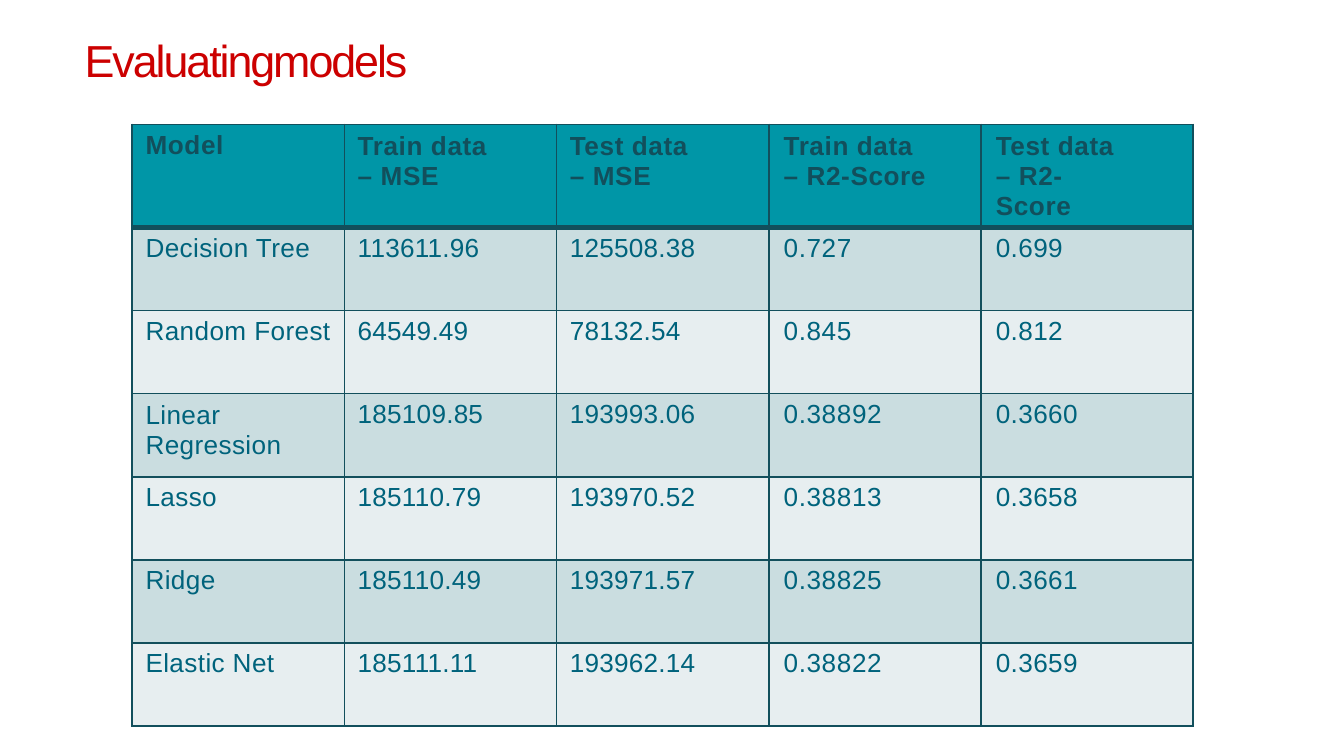
"""Build a slide with a table that compares the errors and scores of six models."""
import pptx
import pptx.dml.color
import pptx.enum.text
import pptx.oxml
import pptx.oxml.ns
import pptx.util

Cm = pptx.util.Cm
Pt = pptx.util.Pt
COLORS = {
    "title": "CC0000",
    "header": "0096A7",
    "odd": "CADDE0",
    "even": "E7EEF0",
    "line": "124F5C",
    "body": "00637C",
}
ROWS = [
    ["Model", "Train data – MSE", "Test data – MSE", "Train data – R2-Score", "Test data – R2-Score"],
    ["Decision Tree", "113611.96", "125508.38", "0.727", "0.699"],
    ["Random Forest", "64549.49", "78132.54", "0.845", "0.812"],
    ["Linear Regression", "185109.85", "193993.06", "0.38892", "0.3660"],
    ["Lasso", "185110.79", "193970.52", "0.38813", "0.3658"],
    ["Ridge", "185110.49", "193971.57", "0.38825", "0.3661"],
    ["Elastic Net", "185111.11", "193962.14", "0.38822", "0.3659"],
]
LEFT_MARGINS = [0.25, 0.25, 0.25, 0.28, 0.28]
HEADER_RIGHT_MARGINS = [0, 1.06, 1.27, 0.94, 1.27]
BODY_SPACING = [0.2, 0.1, 0.1, 0.3, 0.2]


def write_text(frame, text, color, spacing, font, paragraph):
    """Fill a text frame with one formatted paragraph."""
    para = frame.paragraphs[0]
    for name, value in paragraph.items():
        setattr(para, name, value)
    span = para.add_run()
    span.text = text
    for name, value in {"name": "Arial", **font}.items():
        setattr(span.font, name, value)
    span.font.color.rgb = pptx.dml.color.RGBColor.from_string(COLORS[color])
    span.font._element.set("spc", str(round(spacing * 100)))


def add_border(cell, side, width):
    """Add a solid line to one side of a table cell."""
    cell._tc.get_or_add_tcPr().append(pptx.oxml.parse_xml(
        f'<a:ln{side} {pptx.oxml.ns.nsdecls("a")} w="{Pt(width)}"><a:solidFill>'
        f'<a:srgbClr val="{COLORS["line"]}"/></a:solidFill></a:ln{side}>'
    ))


deck = pptx.Presentation()
deck.slide_width = Cm(25.4)
deck.slide_height = Cm(14.29)
page = deck.slides.add_slide(deck.slide_layouts[5])

title = page.shapes.title
for name, value in {"left": 1.6, "top": 0.58, "width": 6.22, "height": 1.09}.items():
    setattr(title, name, Cm(value))
title_format = {
    "margin_left": 0,
    "margin_right": 0,
    "margin_top": Cm(0.03),
    "margin_bottom": 0,
    "word_wrap": True,
    "vertical_anchor": pptx.enum.text.MSO_ANCHOR.TOP,
    "auto_size": pptx.enum.text.MSO_AUTO_SIZE.SHAPE_TO_FIT_TEXT,
}
for name, value in title_format.items():
    setattr(title.text_frame, name, value)
write_text(
    title.text_frame, "Evaluatingmodels", "title", -1.1, {"size": Pt(24)},
    {"alignment": pptx.enum.text.PP_ALIGN.LEFT, "space_before": Pt(1.1)},
)

frame = page.shapes.add_table(len(ROWS), len(ROWS[0]), Cm(2.5), Cm(2.35), Cm(20.05), Cm(11.01))
table = frame.table
table.first_row = False
table.horz_banding = False
for column in table.columns:
    column.width = Cm(4.01)
for row in table.rows:
    row.height = Cm(1.57)

for row_index, texts in enumerate(ROWS):
    is_header = row_index == 0
    fill = "header" if is_header else ("even", "odd")[row_index % 2]
    widths = {"L": 1, "R": 1, "T": 3 if row_index == 1 else 1, "B": 3 if is_header else 1}
    for column_index, text in enumerate(texts):
        cell = table.cell(row_index, column_index)
        cell_format = {
            "margin_left": Cm(LEFT_MARGINS[column_index]),
            "margin_right": Cm(HEADER_RIGHT_MARGINS[column_index] if is_header else 0),
            "margin_top": Cm(0.12),
            "margin_bottom": 0,
        }
        for name, value in cell_format.items():
            setattr(cell, name, value)
        for side, width in widths.items():
            add_border(cell, side, width)
        cell.fill.solid()
        cell.fill.fore_color.rgb = pptx.dml.color.RGBColor.from_string(COLORS[fill])
        write_text(
            cell.text_frame, text, "line" if is_header else "body",
            0.3 if is_header else BODY_SPACING[column_index],
            {"size": Pt(14), "bold": is_header},
            {"space_before": Pt(3.4), "line_spacing": 1.03 if len(text) > 13 else 1.0},
        )

deck.save("out.pptx")
